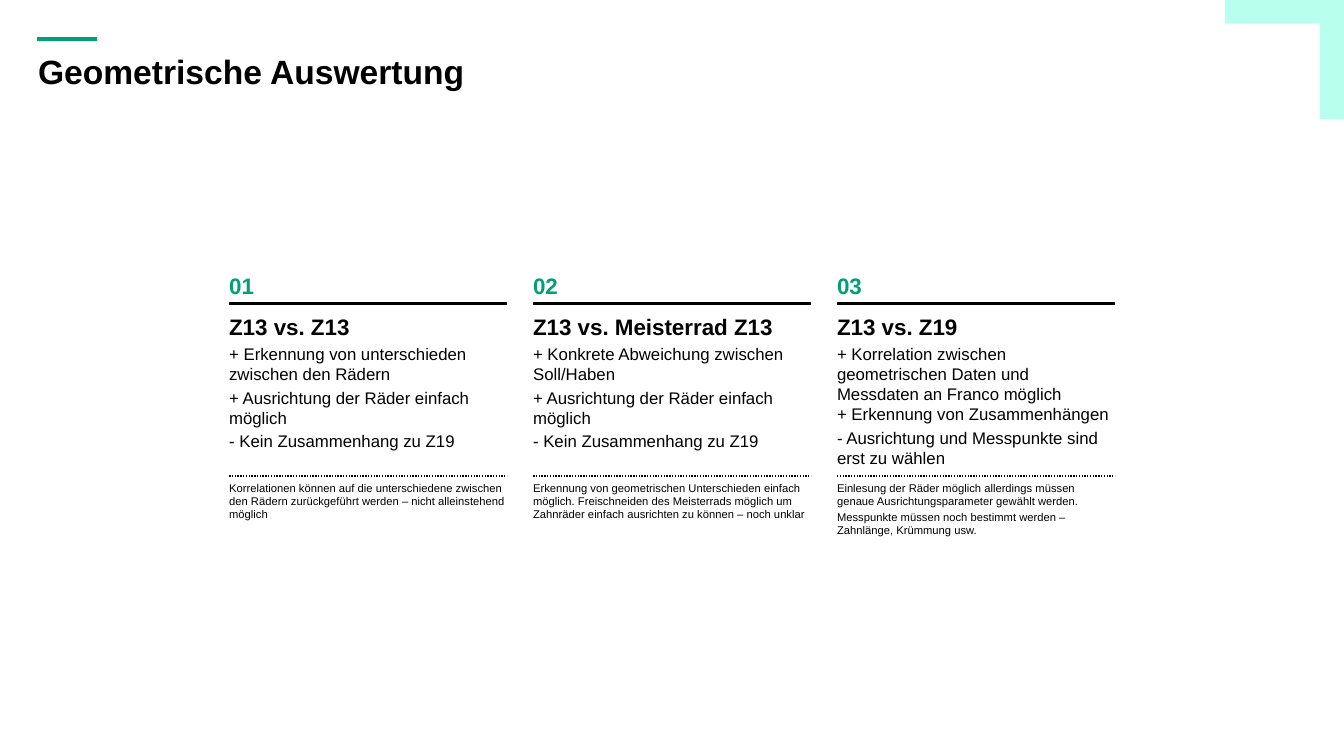
from lxml.etree import SubElement as Sub
from pptx import Presentation
from pptx.dml.color import RGBColor
from pptx.enum.dml import MSO_LINE as Dash
from pptx.enum.shapes import MSO_CONNECTOR as Conn, MSO_SHAPE as Shape
from pptx.enum.text import MSO_ANCHOR as Anchor
from pptx.oxml.ns import qn
from pptx.util import Cm, Pt

GREEN = RGBColor(0x00, 0x9F, 0x77)
MINT = RGBColor(0xB9, 0xFF, 0xED)
BLACK = RGBColor(0x00, 0x00, 0x00)
WIDE, HIGH = 33.87, 19.05
FONT = "Arial"

TOPICS = [
    ("Z13 vs. Z13",
     ["+ Erkennung von unterschieden zwischen den Rädern",
      "+ Ausrichtung der Räder einfach möglich",
      "- Kein Zusammenhang zu Z19"],
     ["Korrelationen können auf die unterschiedene zwischen den Rädern "
      "zurückgeführt werden – nicht alleinstehend möglich"]),
    ("Z13 vs. Meisterrad Z13",
     ["+ Konkrete Abweichung zwischen Soll/Haben",
      "+ Ausrichtung der Räder einfach möglich",
      "- Kein Zusammenhang zu Z19"],
     ["Erkennung von geometrischen Unterschieden einfach möglich. "
      "Freischneiden des Meisterrads möglich um Zahnräder einfach "
      "ausrichten zu können – noch unklar"]),
    ("Z13 vs. Z19",
     ["+ Korrelation zwischen geometrischen Daten und Messdaten an Franco "
      "möglich\v+ Erkennung von Zusammenhängen",
      "- Ausrichtung und Messpunkte sind erst zu wählen"],
     ["Einlesung der Räder möglich allerdings müssen genaue "
      "Ausrichtungsparameter gewählt werden.",
      "Messpunkte müssen noch bestimmt werden – Zahnlänge, Krümmung usw."]),
]


def add_text(slide, x, y, w, h, lines, anchor=Anchor.TOP, pad=0.13):
    """Each line is (text, size, bold, colour)."""
    frame = slide.shapes.add_textbox(Cm(x), Cm(y), Cm(w), Cm(h)).text_frame
    frame.word_wrap = True
    frame.vertical_anchor = anchor
    frame.margin_left = frame.margin_right = 0
    frame.margin_top = frame.margin_bottom = Cm(pad)
    for i, (text, size, bold, color) in enumerate(lines):
        para = frame.add_paragraph() if i else frame.paragraphs[0]
        para.text = text
        para.space_before = Pt(0.2 * size if i else 0)
        font = para.font
        font.name, font.size, font.bold = FONT, Pt(size), bold
        font.color.rgb = color


def add_rule(slide, x, y, w, color, weight, dash=None):
    rule = slide.shapes.add_connector(
        Conn.STRAIGHT, Cm(x), Cm(y), Cm(x + w), Cm(y))
    rule.line.color.rgb = color
    rule.line.width = Pt(weight)
    if dash:
        rule.line.dash_style = dash
    Sub(rule._element.spPr, qn("a:effectLst"))


def add_corner(slide, right, top, size, thick):
    bars = [(right - size, size, thick), (right - thick, thick, size)]
    for x, w, h in bars:
        bar = slide.shapes.add_shape(
            Shape.RECTANGLE, Cm(x), Cm(top), Cm(w), Cm(h))
        bar.shadow.inherit = False
        bar.fill.solid()
        bar.fill.fore_color.rgb = MINT
        bar.line.fill.background()


def add_header(slide, x, y, w, title):
    add_rule(slide, x, y, 1.5, GREEN, 3)
    add_text(slide, x + 0.02, y + 0.2, w, 2.1,
             [(title, 24, True, BLACK)], pad=0.1)


def add_topic(slide, x, y, w, num, topic):
    head, points, notes = topic
    # Number above a solid rule
    add_text(slide, x, y, w, 0.89, [(f"{num:02}", 16, True, GREEN)],
             Anchor.MIDDLE)
    add_rule(slide, x, y + 0.89, w, BLACK, 2.25)
    # Heading with pros and cons
    add_text(slide, x, y + 1.01, w, 2.92,
             [(head, 16, True, BLACK)]
             + [(point, 12, False, BLACK) for point in points])
    # Remarks below a dotted rule
    add_rule(slide, x, y + 5.23, w, BLACK, 1, Dash.ROUND_DOT)
    add_text(slide, x, y + 5.23, w, 1.4,
             [(note, 8, False, BLACK) for note in notes])


def main():
    prs = Presentation()
    prs.slide_width, prs.slide_height = Cm(WIDE), Cm(HIGH)
    slide = prs.slides.add_slide(prs.slide_layouts[6])
    add_header(slide, 0.94, 0.99, 31.98, "Geometrische Auswertung")
    add_corner(slide, WIDE, 0, 3, 0.6)
    # Columns centred on the slide
    col, gap = 7, 0.66
    left = (WIDE - len(TOPICS) * col - (len(TOPICS) - 1) * gap) / 2
    for i, topic in enumerate(TOPICS):
        add_topic(slide, left + i * (col + gap), 6.76, col, i + 1, topic)
    prs.save("out.pptx")


if __name__ == "__main__":
    main()
